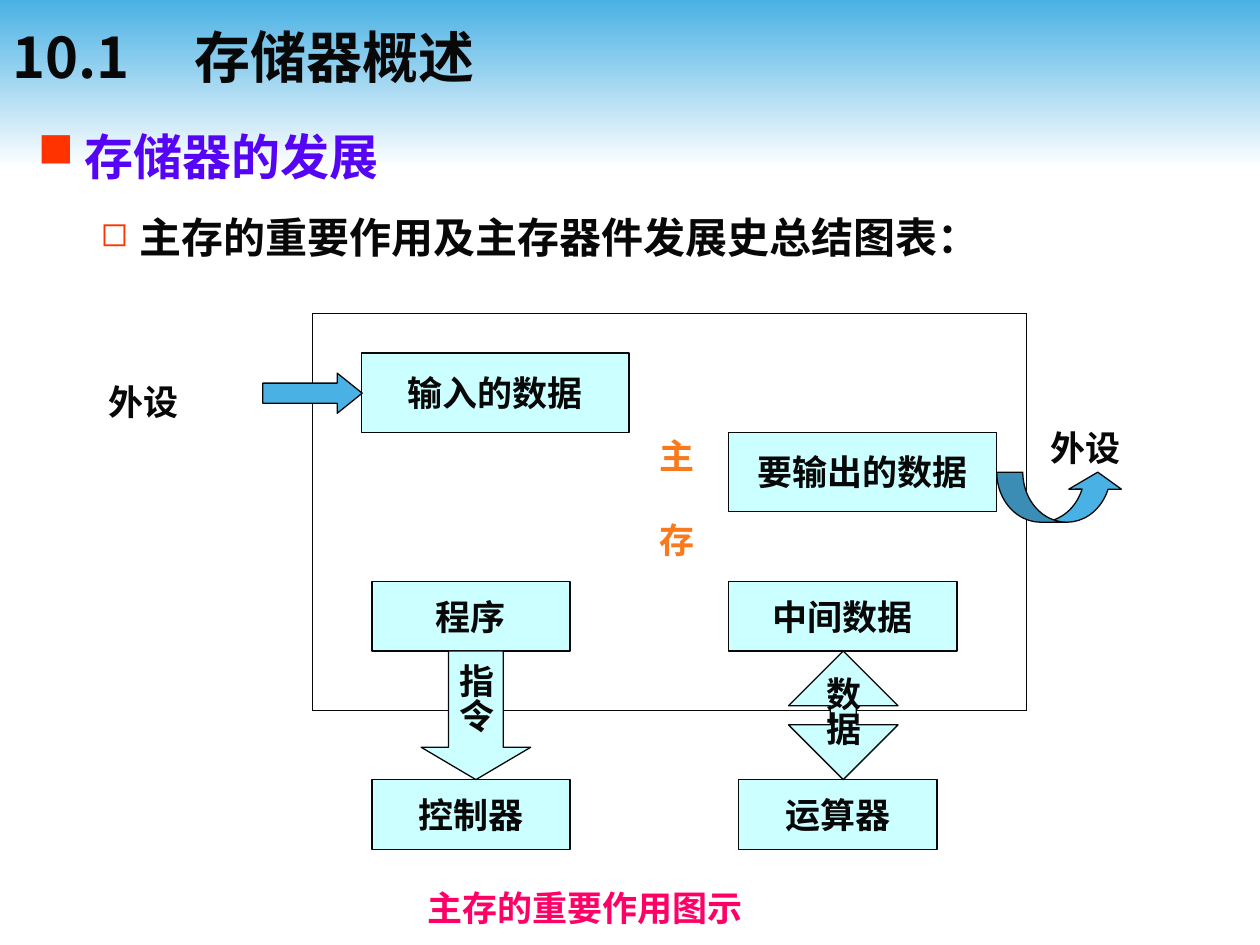
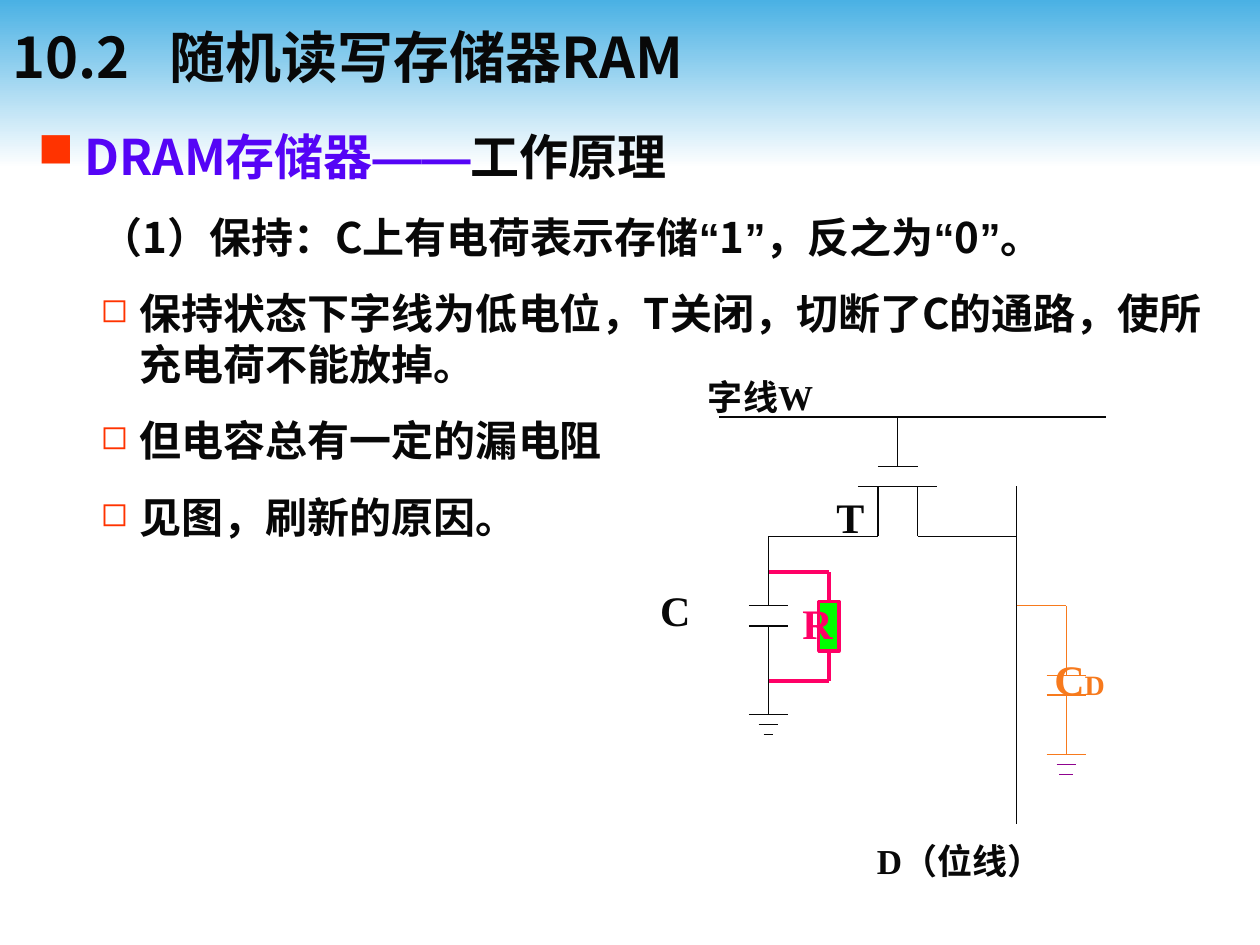
from dataclasses import dataclass

from lxml.etree import SubElement
from pptx import Presentation
from pptx.dml.color import RGBColor
from pptx.enum.shapes import MSO_CONNECTOR, MSO_SHAPE
from pptx.enum.text import MSO_ANCHOR, MSO_AUTO_SIZE, PP_ALIGN
from pptx.oxml.ns import qn
from pptx.util import Pt


@dataclass(frozen=True)
class Theme:
    ink: str = "080808"
    sky: str = "4AB1E4"
    white: str = "FFFFFF"
    cyan: str = "CCFFFF"
    violet: str = "5504F6"
    red: str = "FF3300"
    orange: str = "F77A1D"
    pink: str = "FF0066"
    green: str = "00FF00"
    purple: str = "8F038F"
    cjk: str = "Noto Sans CJK JP"
    sans: str = "Arial"
    serif: str = "Times New Roman"
    title: int = 32
    heading: int = 28
    body: int = 24
    label: int = 20
    subscript: int = 16
    thin: float = 0.75
    thick: float = 2
    leading: float = 1.2


THEME = Theme()


def write(para, text, size=THEME.label, color=THEME.ink, font=THEME.cjk, east=THEME.cjk):
    """Add one bold span of text to a paragraph."""
    span = para.add_run()
    span.text = text
    span.font.size, span.font.bold, span.font.name = Pt(size), True, font
    span.font.color.rgb = RGBColor.from_string(color)
    properties = span.font._element
    properties.set("lang", "zh-CN")
    SubElement(properties, qn("a:ea"), typeface=east)


class Page:
    """The style and the current slide."""

    def __init__(self, deck, theme):
        self.deck, self.theme = deck, theme
        self.layout = deck.slide_layouts[5]
        self.slide = None
        self.banded = False

    def start(self, number, text, tab):
        self.slide = self.deck.slides.add_slide(self.layout)
        if not self.banded:
            self.add_band()
        box = self.slide.shapes.title
        box.left, box.top, box.width, box.height = Pt(0), Pt(3.6), Pt(720), Pt(57)
        frame = box.text_frame
        frame.auto_size = MSO_AUTO_SIZE.NONE
        frame.vertical_anchor = MSO_ANCHOR.MIDDLE
        para = frame.paragraphs[0]
        para.alignment = PP_ALIGN.LEFT
        tabs = SubElement(para._p.get_or_add_pPr(), qn("a:tabLst"))
        SubElement(tabs, qn("a:tab"), pos=str(Pt(tab)), algn="l")
        write(para, f"{number}\t{text}", size=self.theme.title)

    def add_band(self):
        """Put the gradient band on the layout, behind every title."""
        band = self.shape(MSO_SHAPE.RECTANGLE, 0, 0, 720, 96, fill=None, line=None)
        band.fill.gradient()
        band.fill.gradient_angle = 270
        for stop, color in zip(band.fill.gradient_stops, (self.theme.sky, self.theme.white)):
            stop.color.rgb = RGBColor.from_string(color)
        for position, stop in enumerate(band.fill.gradient_stops):
            stop.position = position
        self.layout.shapes.element.insert(2, band.element)
        self.banded = True

    def shape(self, kind, left, top, width, height, fill=THEME.cyan, line=THEME.ink,
              weight=THEME.thin, text="", adjust=(), vertical=False):
        shape = self.slide.shapes.add_shape(kind, Pt(left), Pt(top), Pt(width), Pt(height))
        shape.shadow.inherit = False
        for index, value in enumerate(adjust):
            shape.adjustments[index] = value
        if fill:
            shape.fill.solid()
            shape.fill.fore_color.rgb = RGBColor.from_string(fill)
        if line:
            shape.line.color.rgb = RGBColor.from_string(line)
            shape.line.width = Pt(weight)
        else:
            shape.line.fill.background()
        if text:
            frame = shape.text_frame
            frame.word_wrap = False
            frame.vertical_anchor = MSO_ANCHOR.MIDDLE
            if vertical:
                frame._txBody.bodyPr.set("vert", "eaVert")
                frame.margin_left = frame.margin_right = Pt(3.6)
                frame.margin_top = frame.margin_bottom = Pt(7.2)
            frame.paragraphs[0].alignment = PP_ALIGN.CENTER
            write(frame.paragraphs[0], text, font=self.theme.sans)
        return shape

    def text_box(self, left, top, width, height):
        box = self.slide.shapes.add_textbox(Pt(left), Pt(top), Pt(width), Pt(height))
        box.text_frame.word_wrap = True
        return box.text_frame

    def label(self, left, top, width, *spans, size=THEME.label, color=THEME.ink,
              font=THEME.serif):
        """Place one line; each span is a text or a (text, size) pair."""
        frame = self.text_box(left, top, width, size * self.theme.leading + 7.2)
        para = frame.paragraphs[0]
        para.line_spacing = Pt(size * self.theme.leading)
        for span in spans:
            text, span_size = span if isinstance(span, tuple) else (span, size)
            write(para, text, size=span_size, color=color, font=font)

    def outline(self, width, heading, *items):
        """Place the heading and its items; an item is (bullet, spans)."""
        theme = self.theme
        frame = self.text_box(14.4, 68.5, width, 471)
        rows = [("■", heading, theme.heading, 27, -27)]
        rows += [(bullet, spans, theme.body, 58.5, -22.5) for bullet, spans in items]
        for index, (bullet, spans, size, margin, indent) in enumerate(rows):
            para = frame.add_paragraph() if index else frame.paragraphs[0]
            properties = para._p.get_or_add_pPr()
            properties.set("marL", str(Pt(margin)))
            properties.set("indent", str(Pt(indent)))
            if bullet:
                color = SubElement(properties, qn("a:buClr"))
                SubElement(color, qn("a:srgbClr"), val=theme.red)
                SubElement(properties, qn("a:buSzPct"), val="80000" if index else "100000")
                SubElement(properties, qn("a:buChar"), char=bullet)
            para.line_spacing = Pt(size * theme.leading)
            if index:
                para.level = 1
                para.space_before = Pt(15)
            for text, style in spans:
                write(para, text, size=size, **style)

    def wire(self, *points, color=THEME.ink, weight=THEME.thin):
        """Join the points with straight lines and return the lines."""
        lines = []
        for start, end in zip(points, points[1:]):
            line = self.slide.shapes.add_connector(
                MSO_CONNECTOR.STRAIGHT, *(Pt(value) for value in (*start, *end)))
            line.line.color.rgb = RGBColor.from_string(color)
            line.line.width = Pt(weight)
            SubElement(line.element.spPr, qn("a:effectLst"))
            lines.append(line)
        return lines

    def bar(self, center, y, half, color=THEME.ink):
        self.wire((center - half, y), (center + half, y), color=color)

    def capacitor(self, center, top, bottom, ground, half, small, color, ground_color):
        """Two plates, the lead below them and the earth sign."""
        self.bar(center, top, half, color)
        self.bar(center, bottom, half, color)
        self.wire((center, bottom), (center, ground), color=color)
        self.bar(center, ground, half, color)
        for step, size in enumerate((half / 2, small, 0), start=1):
            self.bar(center, ground + 5.7 * step, size, ground_color)


def memory_role_slide(page):
    theme = page.theme
    page.start("10.1", "存储器概述", tab=104)
    page.outline(692, [("存储器的发展", {"color": theme.violet})],
                 ("◻", [("主存的重要作用及主存器件发展史总结图表：", {})]))

    # Data blocks
    for text, left, top, width, height in (
        ("输入的数据", 206.5, 201.7, 153, 45.4),
        ("要输出的数据", 416.3, 247, 153, 45.4),
        ("程序", 212.5, 332.2, 113.2, 39.8),
        ("中间数据", 416.3, 332.2, 130.6, 39.8),
        ("控制器", 212.5, 445.5, 113.2, 39.8),
        ("运算器", 422.2, 445.5, 113.2, 39.8),
    ):
        page.shape(MSO_SHAPE.RECTANGLE, left, top, width, height, text=text)

    # Main memory frame
    left, top, right, bottom = 178.5, 179.3, 586.6, 406
    page.wire((left, bottom), (right, bottom), (right, top), (left, top), (left, bottom))

    # Arrows
    page.shape(MSO_SHAPE.DOWN_ARROW, 240.7, 372, 62.6, 73.5, text="指令",
               adjust=(0.5, 0.295), vertical=True)
    page.shape(MSO_SHAPE.UP_DOWN_ARROW, 450.6, 372, 62.6, 73.5, text="数据",
               adjust=(0.5, 0.236), vertical=True)
    page.shape(MSO_SHAPE.CURVED_UP_ARROW, 569.6, 269.8, 72.7, 28.6, fill=theme.sky,
               adjust=(0.52, 1.05, 0.34))
    page.shape(MSO_SHAPE.RIGHT_ARROW, 150.2, 213.2, 56.8, 23, fill=theme.sky,
               adjust=(0.5, 0.622))

    # Labels
    for left, top in ((54.7, 213.7), (593.3, 240.3)):
        page.label(left, top, 109, "外设", font=theme.sans)
    page.label(237, 503, 249, "主存的重要作用图示", color=theme.pink)
    frame = page.text_box(369.7, 245, 40, 80)
    for index, text in enumerate("主存"):
        para = frame.add_paragraph() if index else frame.paragraphs[0]
        para.line_spacing = Pt(theme.label * theme.leading)
        if index:
            para.space_before = Pt(23.5)
        write(para, text, color=theme.orange, font=theme.serif)


def dram_slide(page):
    theme = page.theme
    page.start("10.2", "随机读写存储器RAM", tab=89.5)
    latin = {"font": theme.sans, "east": theme.sans}
    page.outline(
        686,
        [("DRAM存储器", {"color": theme.violet}),
         ("——", {"color": theme.violet, **latin}),
         ("工作原理", {})],
        ("", [("（1）保持：C上有电荷表示存储", {}), ("“", latin), ("1", {}), ("”", latin),
              ("，反之为", {}), ("“", latin), ("0", {}), ("”", latin), ("。", {})]),
        ("◻", [("保持状态下字线为低电位，T关闭，切断了C的通路，使所充电荷不能放掉。", {})]),
        ("◻", [("但电容总有一定的漏电阻", {})]),
        ("◻", [("见图，刷新的原因。", {})]),
    )

    # Word line, transistor and bit line
    gate, source, drain, cell, bit = 513, 501.7, 524.4, 439.2, 581
    page.wire((411, 238.3), (632, 238.3))
    page.wire((gate, 238.3), (gate, 266.5))
    page.bar(gate, 266.5, 11.3)
    page.bar(gate, 278, 22.7)
    page.wire((source, 278), (source, 306.5), (cell, 306.5), (cell, 346.2))
    page.wire((drain, 278), (drain, 306.5), (bit, 306.5))
    page.wire((bit, 278), (bit, 471))

    # Cell and bit-line capacitors
    page.capacitor(cell, 346.2, 357.7, 408.4, 11.3, 2.8, theme.ink, theme.ink)
    load = 609.4
    page.wire((bit, 346.2), (load, 346.2), (load, 386), color=theme.orange)
    page.capacitor(load, 386, 397.2, 431.3, 11.3, 4, theme.orange, theme.purple)

    # Leak resistor
    pink = {"color": theme.pink, "weight": theme.thick}
    leak = 473.6
    resistor = page.shape(MSO_SHAPE.RECTANGLE, leak - 5.8, 343.7, 11.6, 28.4,
                          fill=theme.green, line=theme.pink, weight=theme.thick)
    upper = page.wire((cell, 326.9), (leak, 326.9), (leak, 343.7), **pink)
    lower = page.wire((cell, 389), (leak, 389), (leak, 372.1), **pink)
    upper[-1].end_connect(resistor, 0)
    lower[-1].end_connect(resistor, 2)

    # Labels
    page.label(397.5, 210.8, 133, "字线W")
    page.label(494, 475.9, 168, "D（位线）")
    for text, left, top, color in (
        ("T", 470.9, 277.2, theme.ink),
        ("C", 370.1, 330.5, theme.ink),
        ("R", 451.4, 337.7, theme.pink),
    ):
        page.label(left, top, 85, text, size=theme.body, color=color)
    page.label(595.4, 370.1, 97, "C", ("D", theme.subscript), size=theme.body,
               color=theme.orange)


def main():
    deck = Presentation()
    deck.slide_width, deck.slide_height = Pt(720), Pt(540)
    page = Page(deck, THEME)
    memory_role_slide(page)
    dram_slide(page)
    deck.save("out.pptx")


if __name__ == "__main__":
    main()
